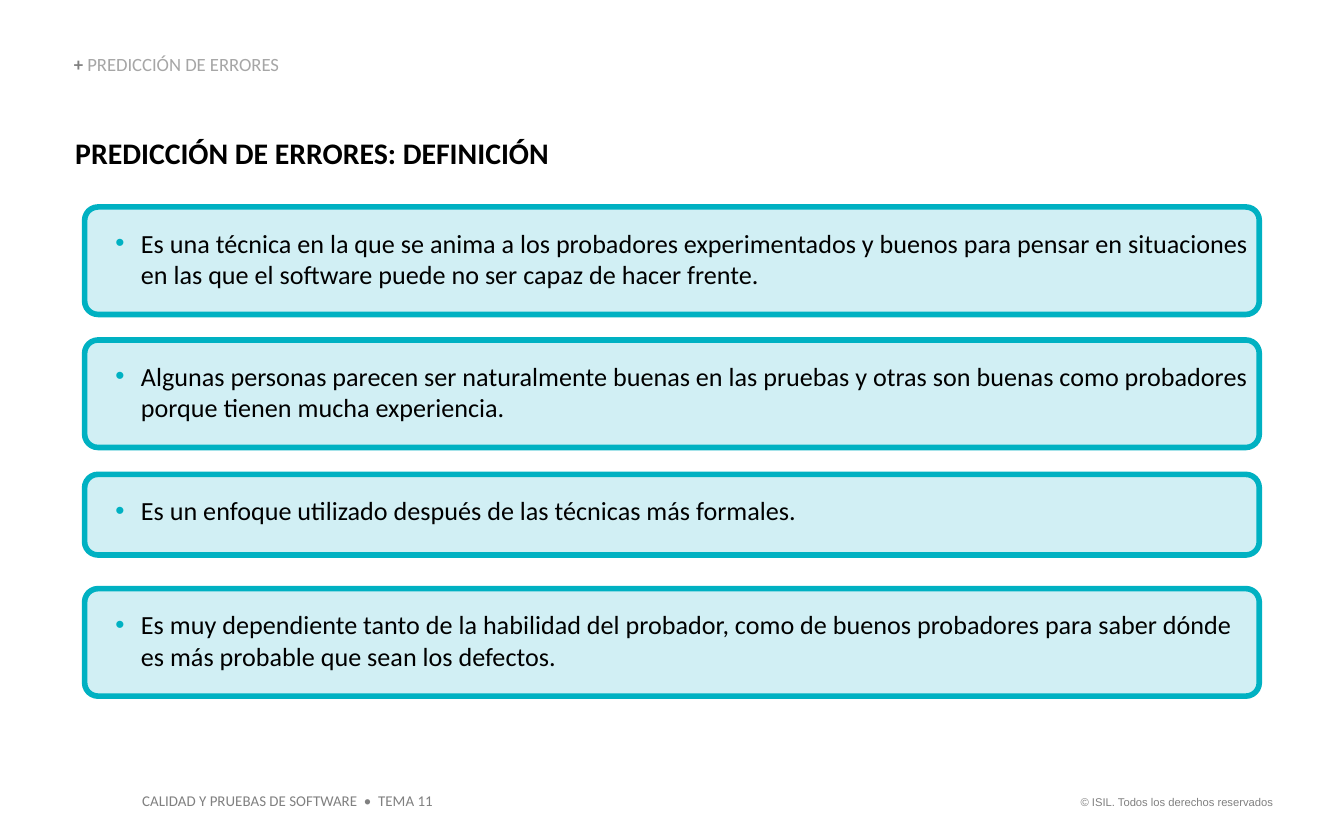
from dataclasses import dataclass

import pptx
import pptx.dml.color
import pptx.enum.shapes
import pptx.enum.text
import pptx.oxml.ns
import pptx.util
from lxml import etree

Inches = pptx.util.Inches
Pt = pptx.util.Pt
RGBColor = pptx.dml.color.RGBColor
ALIGN = pptx.enum.text.PP_ALIGN
ANCHOR = pptx.enum.text.MSO_ANCHOR

BLACK = RGBColor(0x00, 0x00, 0x00)
GRAY = RGBColor(0x80, 0x80, 0x80)
LIGHT_GRAY = RGBColor(0xA6, 0xA6, 0xA6)
TEAL = RGBColor(0x00, 0xB1, 0xC2)
PALE_TEAL = RGBColor(0xD1, 0xEF, 0xF4)

CARD_LEFT, CARD_WIDTH = 0.63, 8.74
CORNER_RADIUS = 0.1
BULLET_INDENT = Inches(0.19)


@dataclass
class Run:
    text: str
    size: float
    color: RGBColor
    bold: bool = False
    font: str = "Calibri"


@dataclass
class Label:
    left: float
    top: float
    width: float
    height: float
    runs: list[Run]
    align: ALIGN = ALIGN.LEFT
    anchor: ANCHOR = ANCHOR.TOP
    inset: tuple[float, float, float, float] = (0, 0, 0, 0)
    wrap: bool = True
    line_spacing: float = 1.0


@dataclass
class Card:
    top: float
    height: float
    text: str


FOOTER_INSET = (0.1, 0.05, 0.1, 0.05)

LABELS = [
    Label(7.88, 5.87, 1.69, 0.2,
          [Run("© ISIL. Todos los derechos reservados", 6, GRAY, font="Arial")],
          align=ALIGN.RIGHT, inset=FOOTER_INSET, wrap=False),
    Label(0.96, 5.84, 2.37, 0.24,
          [Run("CALIDAD Y PRUEBAS DE SOFTWARE  •  TEMA 11", 8, GRAY)],
          inset=FOOTER_INSET, wrap=False),
    Label(0.55, 1, 8.1, 0.27,
          [Run("PREDICCIÓN DE ERRORES: DEFINICIÓN", 16, BLACK, bold=True)],
          inset=(0.01, 0, 0, 0)),
    Label(0.55, 0.41, 3.61, 0.15,
          [Run("+ ", 10, GRAY, bold=True),
           Run("PREDICCIÓN DE ERRORES", 10, LIGHT_GRAY)],
          anchor=ANCHOR.BOTTOM, line_spacing=0.9),
]

CARDS = [
    Card(1.54, 0.8, "Es una técnica en la que se anima a los probadores "
         "experimentados y buenos para pensar en situaciones en las que el "
         "software puede no ser capaz de hacer frente."),
    Card(2.53, 0.8, "Algunas personas parecen ser naturalmente buenas en las "
         "pruebas y otras son buenas como probadores porque tienen mucha "
         "experiencia."),
    Card(3.53, 0.6, "Es un enfoque utilizado después de las técnicas más "
         "formales."),
    Card(4.38, 0.8, "Es muy dependiente tanto de la habilidad del probador, "
         "como de buenos probadores para saber dónde es más probable que sean "
         "los defectos."),
]


def set_frame(tf, inset: tuple[float, float, float, float],
              anchor: ANCHOR, wrap: bool) -> None:
    tf.margin_left, tf.margin_top, tf.margin_right, tf.margin_bottom = map(
        Inches, inset)
    tf.vertical_anchor = anchor
    tf.word_wrap = wrap


def add_run(p, run: Run) -> None:
    r = p.add_run()
    r.text = run.text
    r.font.name = run.font
    r.font.size = Pt(run.size)
    r.font.bold = run.bold
    r.font.color.rgb = run.color


def add_bullet(p, color: RGBColor) -> None:
    qn = pptx.oxml.ns.qn
    pPr = p._p.get_or_add_pPr()
    pPr.set("marL", str(BULLET_INDENT))
    pPr.set("indent", str(-BULLET_INDENT))
    clr = etree.SubElement(pPr, qn("a:buClr"))
    etree.SubElement(clr, qn("a:srgbClr"), val=str(color))
    etree.SubElement(pPr, qn("a:buFont"), typeface="Arial")
    etree.SubElement(pPr, qn("a:buChar"), char="•")


def draw_label(s, label: Label) -> None:
    sp = s.shapes.add_textbox(Inches(label.left), Inches(label.top),
                              Inches(label.width), Inches(label.height))
    tf = sp.text_frame
    set_frame(tf, label.inset, label.anchor, label.wrap)
    tf.auto_size = pptx.enum.text.MSO_AUTO_SIZE.SHAPE_TO_FIT_TEXT
    p = tf.paragraphs[0]
    p.alignment = label.align
    p.line_spacing = label.line_spacing
    for run in label.runs:
        add_run(p, run)


def draw_card(s, card: Card) -> None:
    sp = s.shapes.add_shape(
        pptx.enum.shapes.MSO_SHAPE.ROUNDED_RECTANGLE, Inches(CARD_LEFT),
        Inches(card.top), Inches(CARD_WIDTH), Inches(card.height))
    sp.adjustments[0] = CORNER_RADIUS / card.height
    sp.shadow.inherit = False
    sp.fill.solid()
    sp.fill.fore_color.rgb = PALE_TEAL
    sp.line.color.rgb = TEAL
    sp.line.width = Pt(3)
    tf = sp.text_frame
    set_frame(tf, (0.2, 0.12, 0.04, 0.05), ANCHOR.TOP, True)
    p = tf.paragraphs[0]
    p.alignment = ALIGN.LEFT
    add_bullet(p, TEAL)
    add_run(p, Run(card.text, 14, BLACK))


def main() -> None:
    prs = pptx.Presentation()
    prs.slide_width = Inches(10)
    prs.slide_height = Inches(6.25)
    s = prs.slides.add_slide(prs.slide_layouts[6])
    for label in LABELS:
        draw_label(s, label)
    for card in CARDS:
        draw_card(s, card)
    prs.save("out.pptx")


if __name__ == "__main__":
    main()
